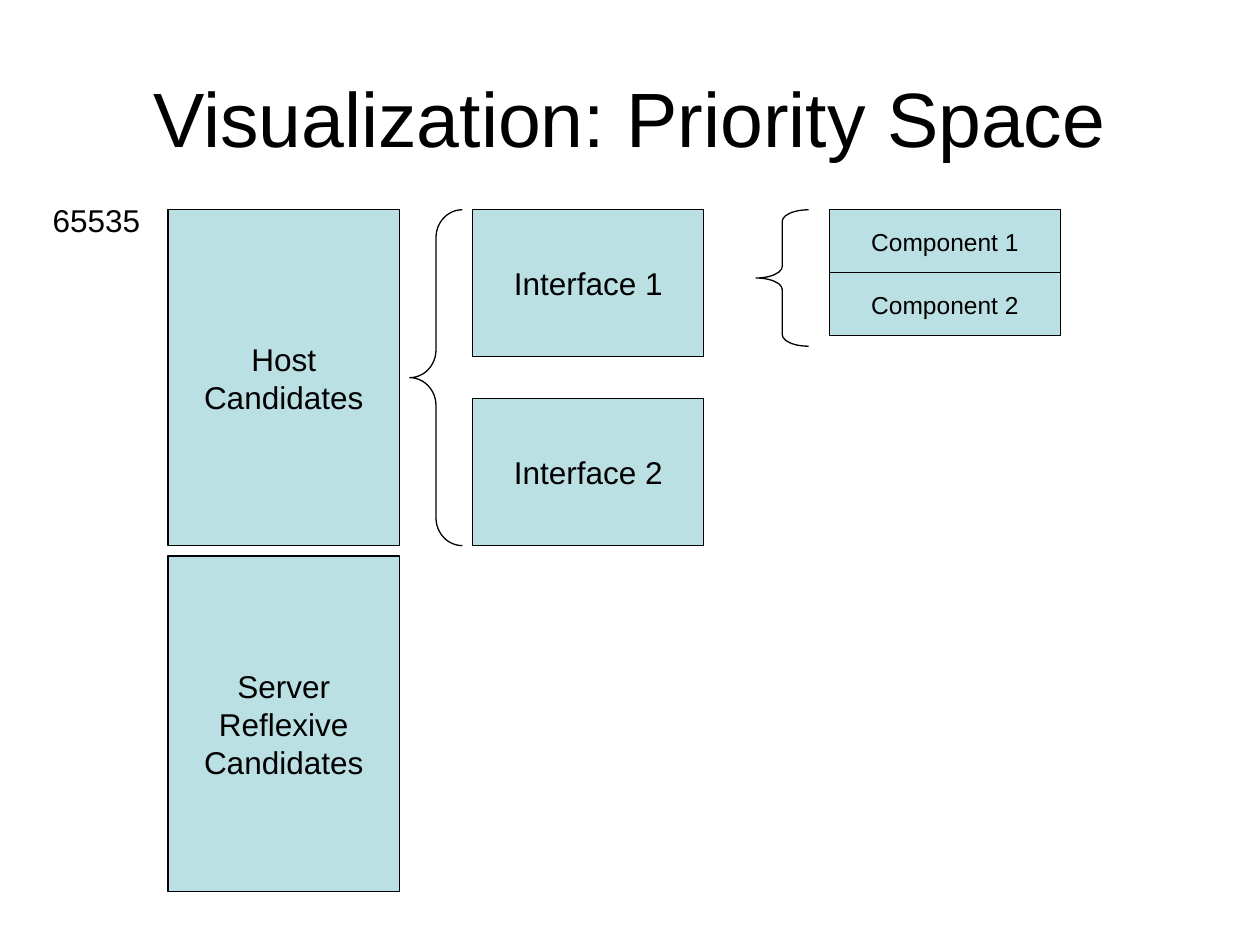
from pptx import Presentation
from pptx.dml.color import RGBColor
from pptx.enum.shapes import MSO_SHAPE as Shape
from pptx.enum.text import MSO_ANCHOR as Anchor, MSO_AUTO_SIZE as AutoSize, PP_ALIGN as Align
from pptx.util import Cm, Pt

TOP = 4.23
BOX_W = 4.66
CANDIDATE_H = 6.77
INTERFACE_H = 2.96
COMPONENT_H = 1.27


def color(value):
    """Return the RGB colour for a hex string."""
    return RGBColor.from_string(value)


def write(tf, text, size=18, align=Align.CENTER, anchor=Anchor.MIDDLE, wrap=False):
    """Fill a text frame, one paragraph per line of text."""
    tf.word_wrap = wrap
    tf.vertical_anchor = anchor
    for i, line in enumerate(text.split("\n")):
        p = tf.paragraphs[0] if i == 0 else tf.add_paragraph()
        p.alignment = align
        r = p.add_run()
        r.text = line
        r.font.name = "Arial"
        r.font.size = Pt(size)
        r.font.color.rgb = color("000000")


def add_label(s, text, x, y, w, h, **fmt):
    """Add a plain text box."""
    sp = s.shapes.add_textbox(Cm(x), Cm(y), Cm(w), Cm(h))
    write(sp.text_frame, text, **fmt)
    return sp


def add_outline(s, kind, x, y, w, h):
    """Add a preset shape with a thin black line and no shadow."""
    sp = s.shapes.add_shape(kind, Cm(x), Cm(y), Cm(w), Cm(h))
    sp.shadow.inherit = False
    sp.line.color.rgb = color("000000")
    sp.line.width = Pt(0.75)
    return sp


def add_stack(s, labels, x, h, gap=0, **fmt):
    """Add a column of equal boxes from the common top edge down."""
    for i, text in enumerate(labels):
        sp = add_outline(s, Shape.RECTANGLE, x, TOP + i * (h + gap), BOX_W, h)
        sp.fill.solid()
        sp.fill.fore_color.rgb = color("BBE0E3")
        write(sp.text_frame, text, **fmt)


def add_brace(s, x, h, curve):
    """Add a left brace from the common top edge down."""
    sp = add_outline(s, Shape.LEFT_BRACE, x, TOP, 1.06, h)
    sp.fill.background()
    sp.adjustments[0] = curve
    sp.adjustments[1] = 0.5


def main():
    """Build the priority space slide."""
    prs = Presentation()
    prs.slide_width, prs.slide_height = Cm(25.4), Cm(19.05)
    s = prs.slides.add_slide(prs.slide_layouts[6])
    add_label(s, "Visualization: Priority Space", 1.27, 0.76, 22.86, 3.18, size=44, wrap=True)
    add_stack(s, ["Host\nCandidates", "Server\nReflexive\nCandidates"], 3.39, CANDIDATE_H, gap=0.21)
    top_value = add_label(s, "65535", 0.81, 3.92, 2.28, 1.02, align=Align.LEFT, anchor=Anchor.TOP)
    top_value.text_frame.auto_size = AutoSize.SHAPE_TO_FIT_TEXT
    add_stack(s, ["Interface 1", "Interface 2"], 9.53, INTERFACE_H, gap=0.85)
    add_brace(s, 8.26, CANDIDATE_H, 0.53)
    add_stack(s, ["Component 1", "Component 2"], 16.72, COMPONENT_H, size=14)
    add_brace(s, 15.24, 2.75, 0.22)
    prs.save("out.pptx")


main()
